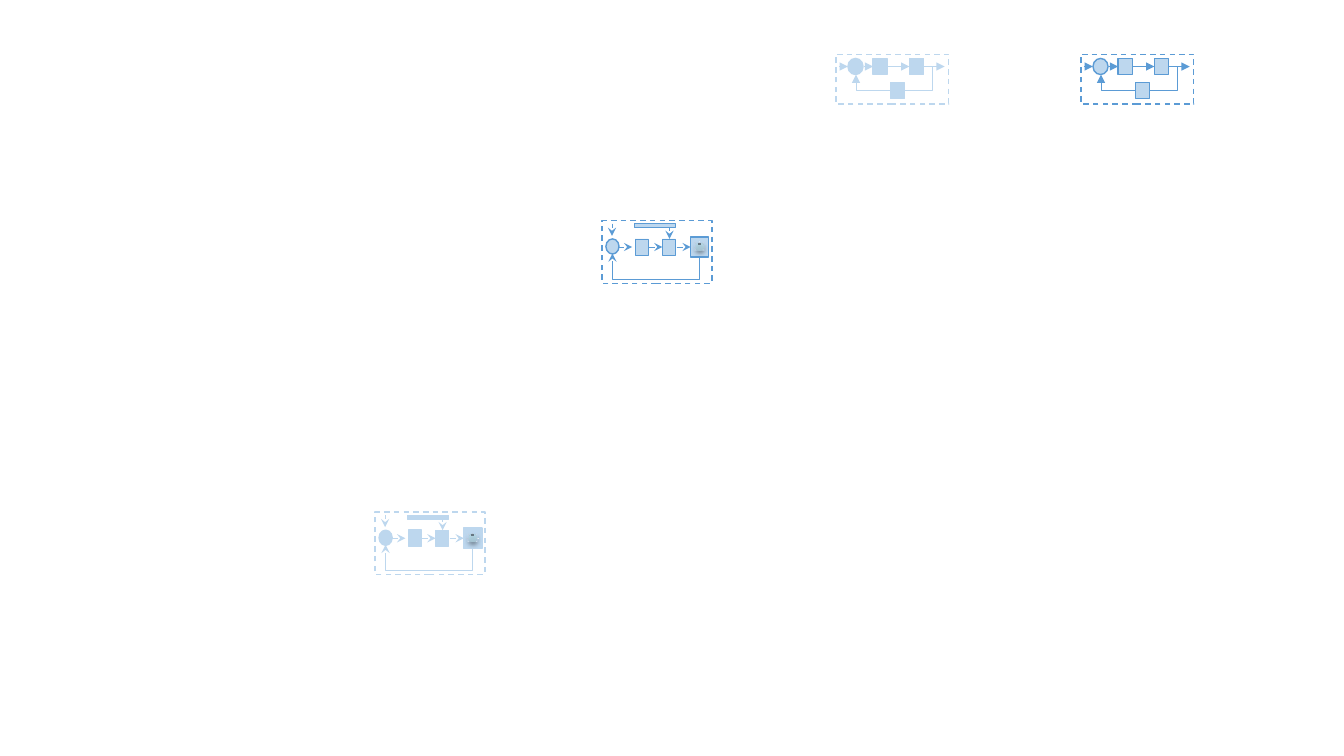
import lxml.etree
import pptx
import pptx.dml.color
import pptx.enum.dml
import pptx.enum.shapes
import pptx.oxml.ns
import pptx.util

Inches, Pt = pptx.util.Inches, pptx.util.Pt
Color = pptx.dml.color.RGBColor
Kind = pptx.enum.shapes.MSO_SHAPE
Link = pptx.enum.shapes.MSO_CONNECTOR

PALE = Color(0xBD, 0xD7, 0xEE)
BLUE = Color(0x5B, 0x9B, 0xD5)
BLACK = Color(0, 0, 0)
WHITE = Color(255, 255, 255)
TEAL = Color(0x87, 0xAB, 0xAE)
AQUA = Color(0xAF, 0xDE, 0xE2)

HAIR = {"width": Pt(0.25)}
THIN = {"width": Pt(0.5)}
BOLD = {"width": Pt(1)}
THICK = {"width": Pt(2)}
DASH = {"width": Pt(1), "dash_style": pptx.enum.dml.MSO_LINE.DASH}


def node(parent, tag, **attrs):
    """Append a DrawingML element with the given attributes."""
    child = lxml.etree.SubElement(parent, pptx.oxml.ns.qn("a:" + tag))
    for name, value in attrs.items():
        child.set(name, str(value))
    return child


def stroke(line, tint, form):
    line.color.rgb = tint
    for name, value in form.items():
        setattr(line, name, value)


def shade(shape, alpha, drop):
    """Put a soft black shadow below the shape."""
    effect = shape.element.spPr.find(pptx.oxml.ns.qn("a:effectLst"))
    outer = node(effect, "outerShdw", blurRad=Pt(3.1), dist=Pt(drop),
                 dir=90 * 60000, rotWithShape=0)
    tone = node(outer, "srgbClr", val=BLACK)
    node(tone, "alpha", val=alpha * 1000)


class Panel:
    """A group whose parts are placed from its top left corner."""

    def __init__(self, slide, left, top):
        self.shapes = slide.shapes.add_group_shape().shapes
        self.left, self.top = left, top

    def block(self, kind, x, y, w, h, fill=None, tint=None, form=BOLD):
        shape = self.shapes.add_shape(kind, Inches(self.left + x), Inches(self.top + y),
                                      Inches(w), Inches(h))
        shape.shadow.inherit = False
        if fill is None:
            shape.fill.background()
        else:
            shape.fill.solid()
            shape.fill.fore_color.rgb = fill
        if tint is None:
            shape.line.fill.background()
        else:
            stroke(shape.line, tint, form)
        return shape

    def wire(self, x1, y1, x2, y2, tint, head=None, form=THIN, kind=Link.STRAIGHT):
        wire = self.shapes.add_connector(
            kind, Inches(self.left + x1), Inches(self.top + y1),
            Inches(self.left + x2), Inches(self.top + y2))
        stroke(wire.line, tint, form)
        props = wire.element.spPr
        if head:
            node(props.find(pptx.oxml.ns.qn("a:ln")), "tailEnd", type=head)
        node(props, "effectLst")
        return wire

    def elbow(self, x, y, w, h, turn, tint, head=None, bend=None):
        """Bent wire in an unturned box; bend flips it and sets its reach."""
        wire = self.wire(x, y, x + w, y + h, tint, head, kind=Link.ELBOW)
        props = wire.element.spPr
        frame = props.find(pptx.oxml.ns.qn("a:xfrm"))
        frame.set("rot", str(turn * 60000))
        shape = props.find(pptx.oxml.ns.qn("a:prstGeom"))
        if bend is None:
            shape.set("prst", "bentConnector2")
        else:
            frame.set("flipH", "1")
            guides = shape.find(pptx.oxml.ns.qn("a:avLst"))
            node(guides, "gd", name="adj1", fmla=f"val {int(bend * 100000)}")


def loop(slide, left, top, tint):
    """Feedback loop with three blocks."""
    panel = Panel(slide, left, top)
    panel.block(Kind.OVAL, 0.12, 0.04, 0.15, 0.16, PALE, tint)
    for x, y in ((0.37, 0.04), (0.54, 0.28), (0.73, 0.04)):
        panel.block(Kind.RECTANGLE, x, y, 0.14, 0.16, PALE, tint)
    for start, end in ((0.28, 0.37), (0.51, 0.73), (0.87, 1.08), (0.03, 0.12)):
        panel.wire(start, 0.12, end, 0.12, tint, "triangle")
    panel.elbow(0.2, 0.2, 0.34, 0.16, 180, tint, "triangle")
    panel.elbow(0.7, 0.1, 0.23, 0.28, 90, tint)
    panel.block(Kind.RECTANGLE, 0, 0, 1.12, 0.49, None, tint, DASH)


def dial(panel, x, y):
    """Small round dial with a hand and seven ticks."""
    face = panel.block(Kind.OVAL, x, y, 0.08, 0.08, PALE)
    face.fill.gradient()
    face.fill.gradient_angle = 90
    for stop, place, tone in zip(face.fill.gradient_stops, (0, 0.8), (TEAL, AQUA)):
        stop.position = place
        stop.color.rgb = tone
    shade(face, 35, 1.8)
    hand = panel.wire(x + 0.04, y, x + 0.04, y + 0.02, BLACK, form=THICK)
    shade(hand, 38, 1.6)
    for dx, dy, turn in ((0.03, -0.02, 270), (0.08, 0.03, 0), (-0.02, 0.03, 0),
                         (-0.01, -0.01, 37.7), (0.07, -0.01, 317.8),
                         (-0.01, 0.06, 319.8), (0.07, 0.06, 42)):
        tick = panel.block(Kind.MATH_MINUS, x + dx, y + dy, 0.01, 0.02,
                           BLACK, WHITE, HAIR)
        tick.rotation = turn
        shade(tick, 38, 1.6)


def plant(slide, left, top, tint, form):
    """Control chain that ends in a dial and feeds back."""
    panel = Panel(slide, left, top)
    panel.block(Kind.RECTANGLE, 0.33, 0.18, 0.13, 0.16, PALE, tint, form)
    panel.elbow(0.52, -0.09, 0.03, 0.86, 90, tint, "stealth", -7.5)
    panel.block(Kind.OVAL, 0.04, 0.18, 0.13, 0.15, PALE, tint)
    panel.block(Kind.RECTANGLE, 0.6, 0.18, 0.13, 0.16, PALE, tint, THIN)
    panel.block(Kind.RECTANGLE, 0.88, 0.16, 0.18, 0.2, PALE, tint)
    dial(panel, 0.93, 0.22)
    panel.block(Kind.RECTANGLE, 0.32, 0.03, 0.41, 0.04, PALE, tint, THIN)
    for x1, y1, x2, y2 in ((0.67, 0.07, 0.67, 0.18), (0.1, 0.03, 0.1, 0.15),
                           (0.17, 0.26, 0.3, 0.26), (0.47, 0.26, 0.6, 0.26),
                           (0.74, 0.26, 0.88, 0.26)):
        panel.wire(x1, y1, x2, y2, tint, "stealth")
    panel.block(Kind.RECTANGLE, 0, 0, 1.09, 0.62, None, tint, DASH)
    veil = panel.block(Kind.RECTANGLE, 0.91, 0.2, 0.11, 0.1, PALE)
    tone = veil.element.spPr.find(".//" + pptx.oxml.ns.qn("a:srgbClr"))
    node(tone, "alpha", val=55000)


def main():
    deck = pptx.Presentation()
    deck.slide_width, deck.slide_height = Inches(13.33), Inches(7.5)
    slide = deck.slides.add_slide(deck.slide_layouts[6])
    loop(slide, 8.29, 0.54, PALE)
    loop(slide, 10.72, 0.54, BLUE)
    plant(slide, 3.72, 5.08, PALE, BOLD)
    plant(slide, 5.97, 2.19, BLUE, THIN)
    deck.save("out.pptx")


if __name__ == "__main__":
    main()
